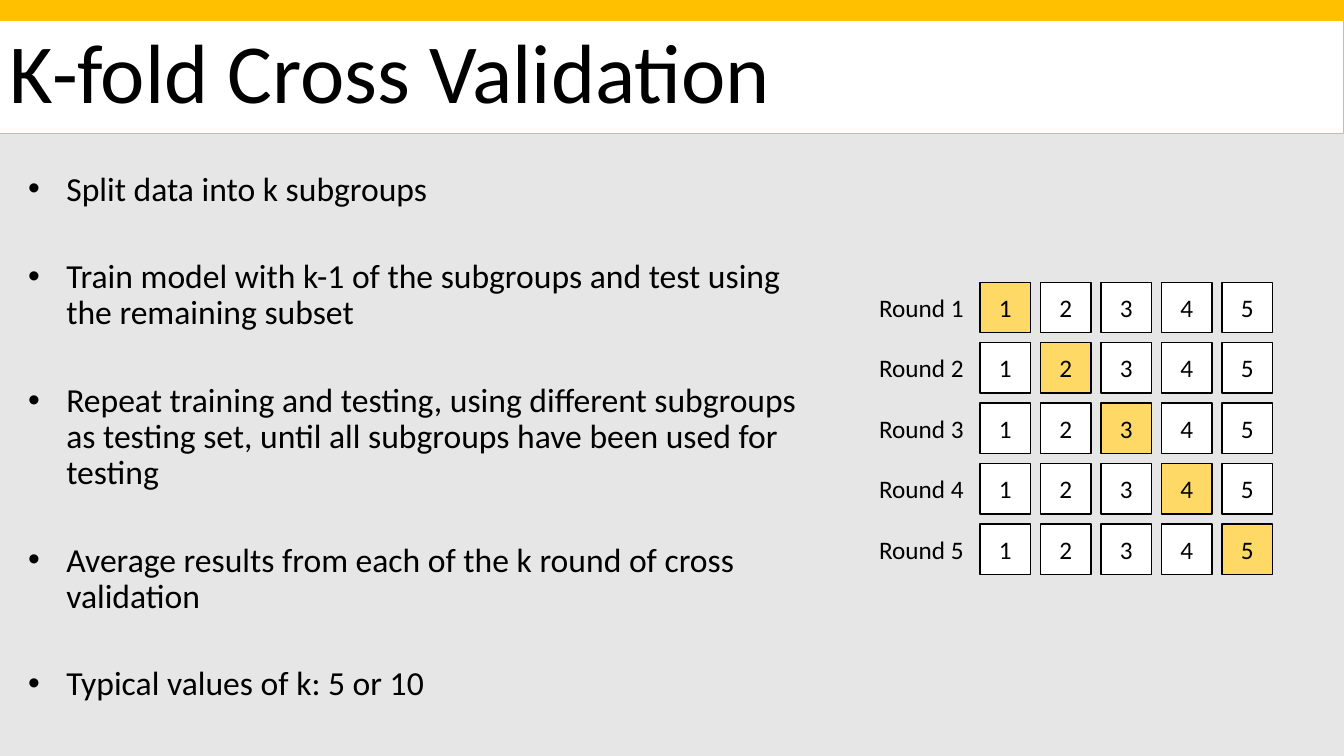
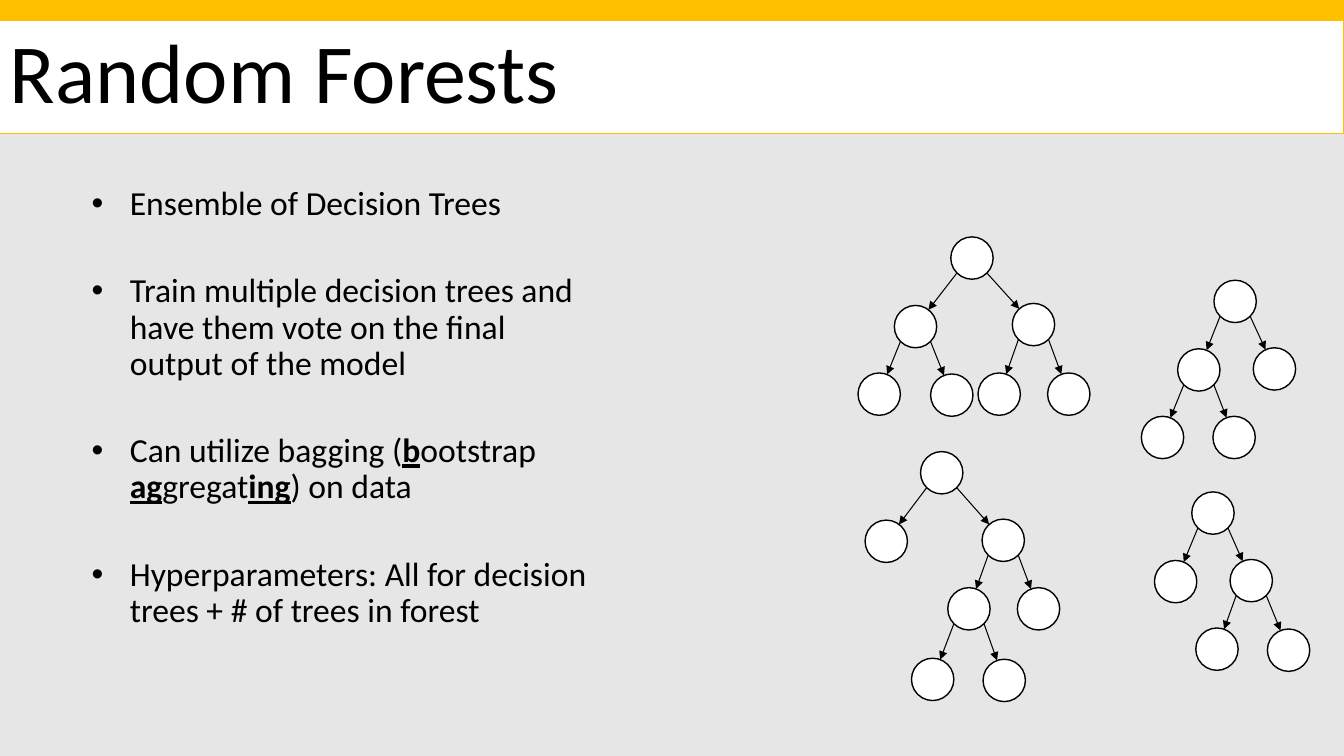
from dataclasses import dataclass
from math import hypot

from lxml import etree
from pptx import Presentation
from pptx.dml.color import RGBColor
from pptx.enum.shapes import MSO_CONNECTOR, MSO_SHAPE
from pptx.enum.text import MSO_ANCHOR, PP_ALIGN
from pptx.oxml.ns import qn
from pptx.util import Inches, Pt

RECT, OVAL = MSO_SHAPE.RECTANGLE, MSO_SHAPE.OVAL
STRAIGHT = MSO_CONNECTOR.STRAIGHT
TOP, MIDDLE = MSO_ANCHOR.TOP, MSO_ANCHOR.MIDDLE
LEFT, CENTER = PP_ALIGN.LEFT, PP_ALIGN.CENTER

BLACK = RGBColor(0x00, 0x00, 0x00)
WHITE = RGBColor(0xFF, 0xFF, 0xFF)
GRAY = RGBColor(0xE7, 0xE6, 0xE6)
GOLD = RGBColor(0xFF, 0xC0, 0x00)
LIGHT_GOLD = RGBColor(0xFF, 0xD9, 0x66)

FONT = "Calibri"
SLIDE_W, SLIDE_H = 13.33, 7.5
EMPHASIS = "_"

FOLDS = 5
CELL, PITCH = 0.5, 0.6
GRID_X, GRID_Y = 9.72, 2.8
LABEL_X, LABEL_W, LABEL_H = 8.62, 1.08, 0.4

NODE = 0.42
RADIUS = NODE / 2
BRANCH = 0.15


@dataclass(frozen=True)
class Box:
    x: float
    y: float
    w: float
    h: float

    def lengths(self) -> list:
        return [Inches(v) for v in (self.x, self.y, self.w, self.h)]


@dataclass(frozen=True)
class Node:
    x: float
    y: float
    children: tuple["Node", ...] = ()

    @property
    def center(self) -> tuple[float, float]:
        return self.x + RADIUS, self.y + RADIUS


K_FOLD_POINTS = [
    "Split data into k subgroups",
    "Train model with k-1 of the subgroups and test using the remaining subset",
    "Repeat training and testing, using different subgroups as testing set, "
    "until all subgroups have been used for testing",
    "Average results from each of the k round of cross validation",
    "Typical values of k: 5 or 10",
]
FOREST_POINTS = [
    "Ensemble of Decision Trees",
    "Train multiple decision trees and have them vote on the final output of the model",
    "Can utilize bagging (_b_ootstrap _ag_gregat_ing_) on data",
    "Hyperparameters: All for decision trees + # of trees in forest",
]
FOREST = [
    Node(9.43, 2.35, (
        Node(8.87, 3.03, (Node(8.51, 3.7), Node(9.23, 3.71))),
        Node(10.04, 3.01, (Node(9.7, 3.7), Node(10.39, 3.7))),
    )),
    Node(12.04, 2.78, (
        Node(11.68, 3.46, (Node(11.32, 4.13), Node(12.03, 4.13))),
        Node(12.43, 3.45),
    )),
    Node(9.13, 4.48, (
        Node(8.58, 5.16),
        Node(9.74, 5.15, (
            Node(9.4, 5.83, (Node(9.04, 6.53), Node(9.75, 6.54))),
            Node(10.09, 5.83),
        )),
    )),
    Node(11.82, 4.88, (
        Node(11.45, 5.56),
        Node(12.2, 5.55, (Node(11.86, 6.23), Node(12.57, 6.24))),
    )),
]


def add_bullet(p) -> None:
    pPr = p._p.get_or_add_pPr()
    pPr.set("marL", str(Inches(0.38)))
    pPr.set("indent", str(-Inches(0.38)))
    color = etree.SubElement(pPr, qn("a:buClr"))
    etree.SubElement(color, qn("a:srgbClr"), val=str(BLACK))
    etree.SubElement(pPr, qn("a:buFont"), typeface="Arial")
    etree.SubElement(pPr, qn("a:buChar"), char="•")


def write(shape, *texts: str, size: float, align=LEFT, anchor=TOP,
          line_spacing: float = 1.0, gap: float = 0, bullet: bool = False) -> None:
    tf = shape.text_frame
    tf.word_wrap = True
    tf.vertical_anchor = anchor
    for i, text in enumerate(texts):
        p = tf.add_paragraph() if i else tf.paragraphs[0]
        p.alignment = align
        p.line_spacing = line_spacing
        p.space_before = Pt(gap if i else 0)
        if bullet:
            add_bullet(p)
        for j, part in enumerate(text.split(EMPHASIS)):
            r = p.add_run()
            r.text = part
            r.font.name = FONT
            r.font.size = Pt(size)
            r.font.color.rgb = BLACK
            r.font.bold = r.font.underline = j % 2 == 1


def add_shape(s, kind, box: Box, fill: RGBColor, line: RGBColor = BLACK,
              width: float = 1):
    sp = s.shapes.add_shape(kind, *box.lengths())
    sp.shadow.inherit = False
    sp.fill.solid()
    sp.fill.fore_color.rgb = fill
    sp.line.color.rgb = line
    sp.line.width = Pt(width)
    return sp


def add_text(s, box: Box, *texts: str, **style) -> None:
    write(s.shapes.add_textbox(*box.lengths()), *texts, **style)


def add_arrow(s, x1: float, y1: float, x2: float, y2: float) -> None:
    c = s.shapes.add_connector(STRAIGHT, *[Inches(v) for v in (x1, y1, x2, y2)])
    c.line.color.rgb = BLACK
    c.line.width = Pt(0.75)
    etree.SubElement(c.line._get_or_add_ln(), qn("a:tailEnd"), type="triangle")
    etree.SubElement(c._element.spPr, qn("a:effectLst"))


def add_slide(prs, title: str, body: Box, points: list[str]):
    s = prs.slides.add_slide(prs.slide_layouts[6])
    s.background.fill.solid()
    s.background.fill.fore_color.rgb = GRAY
    add_text(s, body, *points, size=24, line_spacing=0.9, gap=36.5, bullet=True)
    add_shape(s, RECT, Box(0, 0, SLIDE_W, 0.39), GOLD, GOLD)
    band = add_shape(s, RECT, Box(0, 0.2, SLIDE_W, 1.12), WHITE, GOLD, 0.75)
    write(band, title, size=60, anchor=MIDDLE, line_spacing=0.9)
    return s


def add_rounds(s) -> None:
    for row in range(FOLDS):
        y = GRID_Y + row * PITCH
        label = Box(LABEL_X, y + (CELL - LABEL_H) / 2, LABEL_W, LABEL_H)
        add_text(s, label, f"Round {row + 1}", size=18)
        for col in range(FOLDS):
            cell = add_shape(s, RECT, Box(GRID_X + col * PITCH, y, CELL, CELL),
                             LIGHT_GOLD if col == row else WHITE)
            write(cell, str(col + 1), size=18, align=CENTER, anchor=MIDDLE)


def add_tree(s, node: Node) -> None:
    add_shape(s, OVAL, Box(node.x, node.y, NODE, NODE), WHITE)
    cx, cy = node.center
    for child in node.children:
        add_tree(s, child)
        tx, ty = child.center
        x, y = cx + (BRANCH if tx > cx else -BRANCH), cy + BRANCH
        reach = 1 - RADIUS / hypot(tx - x, ty - y)
        add_arrow(s, x, y, x + (tx - x) * reach, y + (ty - y) * reach)


def main() -> None:
    prs = Presentation()
    prs.slide_width, prs.slide_height = Inches(SLIDE_W), Inches(SLIDE_H)
    s = add_slide(prs, "K-fold Cross Validation", Box(0.18, 1.66, 8, 5.58), K_FOLD_POINTS)
    add_rounds(s)
    s = add_slide(prs, "Random Forests", Box(0.81, 1.8, 5.27, 5.1), FOREST_POINTS)
    for tree in FOREST:
        add_tree(s, tree)
    prs.save("out.pptx")


if __name__ == "__main__":
    main()
